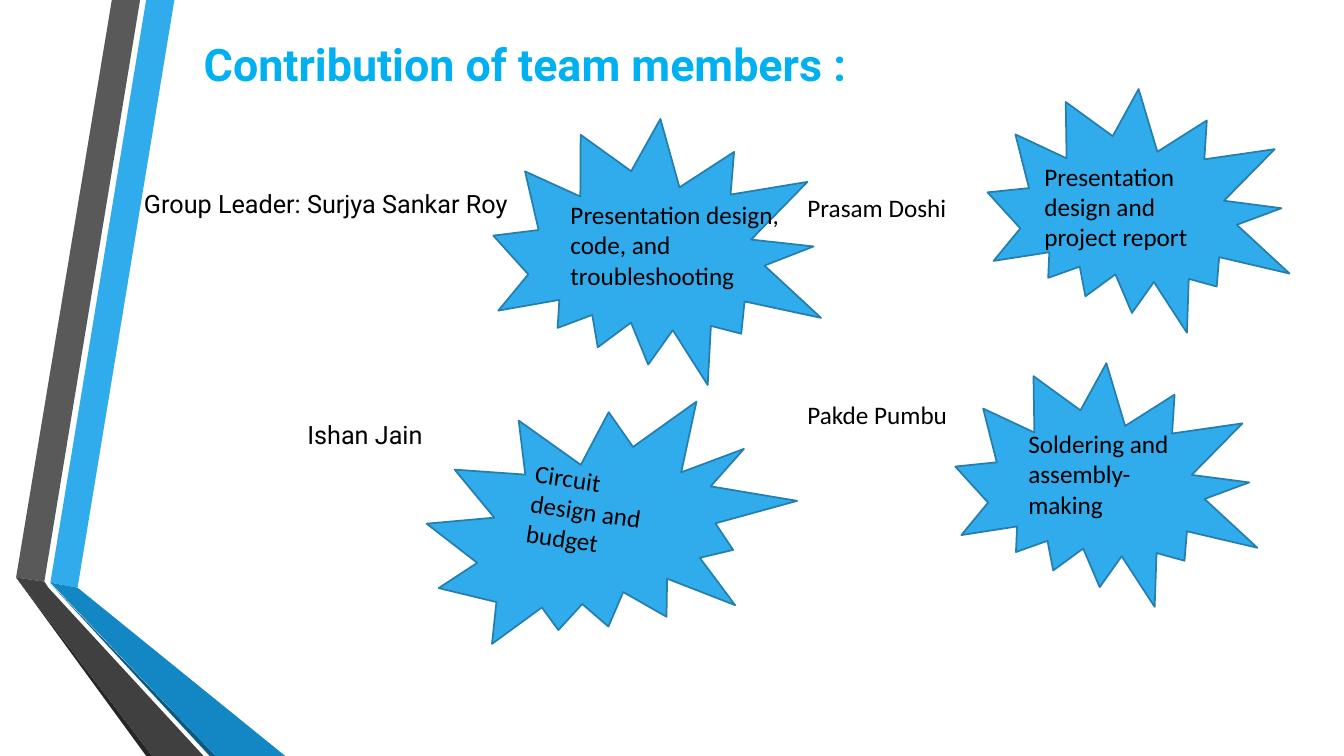
"""Build the slide on the contribution of each team member."""
from pptx import Presentation
from pptx.dml.color import RGBColor
from pptx.enum.shapes import MSO_SHAPE as Shape
from pptx.enum.text import MSO_ANCHOR as Anchor, PP_ALIGN as Align
from pptx.util import Inches, Pt

COLORS = {
    "title": "00B0F0", "text": "000000", "burst": "30ACEC", "edge": "247FAF",
    "blue": "30ACEC", "blue_fold": "1287C3", "blue_shade": "0C5A82",
    "gray": "595959", "gray_fold": "404040", "gray_shade": "262626",
}
TITLE = ("Contribution of team members :", (1.92, 0.31, 9.87, 0.64))
RIBBONS = [
    ("blue", [(0.5, 5.78), (0.77, 5.83), (1.73, 0), (1.45, 0)]),
    ("gray", [(1.39, 0), (1.11, 0), (0.16, 5.73), (0.44, 5.77)]),
    ("gray_shade", [(0.16, 5.73), (1.45, 7.5), (1.51, 7.5)]),
    ("blue_shade", [(0.5, 5.79), (2.08, 7.5), (2.14, 7.5)]),
    ("blue_fold", [(0.5, 5.78), (2.14, 7.5), (2.83, 7.5), (0.77, 5.83)]),
    ("gray_fold", [(2.02, 7.5), (0.48, 5.83), (0.44, 5.77), (0.16, 5.73), (1.51, 7.5)]),
]
BURSTS = [
    ((5, 1.04, 3.16, 2.99), 41.6, ""),
    ((4.25, 3.87, 3.6, 2.68), 8.6, "Circuit\vdesign and\vbudget"),
    ((9.87, 0.78, 2.95, 2.68), 41.6, ""),
    ((9.55, 3.5, 2.95, 2.68), 41.6, ""),
]
LABELS = [
    ("Group Leader: Surjya Sankar Roy", "Roboto", (1.33, 1.82, 4.13, 0.4)),
    ("Ishan Jain", "Roboto", (2.95, 4.11, 2.35, 0.4)),
    ("Prasam Doshi", "Calibri", (7.91, 1.86, 1.69, 0.4)),
    ("Pakde Pumbu", "Calibri", (7.91, 3.91, 1.69, 0.4)),
    ("Presentation design, code, and troubleshooting", "Calibri", (5.56, 1.93, 2.28, 1.01)),
    ("Presentation design and project report", "Calibri", (10.26, 1.55, 1.87, 1.01)),
    ("Soldering and assembly-making", "Calibri", (10.1, 4.2, 1.68, 1.01)),
]


def color(name):
    return RGBColor.from_string(COLORS[name])


def inches(lengths):
    return [Inches(length) for length in lengths]


def write(frame, text, face, size=18, tint="text", bold=False, anchor=Anchor.TOP):
    frame.text = text
    frame.word_wrap = True
    frame.vertical_anchor = anchor
    paragraph = frame.paragraphs[0]
    paragraph.alignment = Align.LEFT
    font = paragraph.font
    font.name, font.size, font.bold = face, Pt(size), bold
    font.color.rgb = color(tint)


def paint(shape, fill):
    shape.shadow.inherit = False
    shape.fill.solid()
    shape.fill.fore_color.rgb = color(fill)


def add_ribbon(shapes, fill, corners):
    start, *others = [inches(corner) for corner in corners]
    outline = shapes.build_freeform(*start)
    outline.add_line_segments(others)
    ribbon = outline.convert_to_shape()
    paint(ribbon, fill)
    ribbon.line.fill.background()


def add_burst(shapes, box, angle, task):
    burst = shapes.add_shape(Shape.EXPLOSION2, *inches(box))
    burst.rotation = angle
    paint(burst, "burst")
    burst.line.color.rgb = color("edge")
    burst.line.width = Pt(1.25)
    if task:
        burst.text_frame.margin_bottom = Inches(0.35)
        write(burst.text_frame, task, "Calibri", anchor=Anchor.MIDDLE)


def main():
    deck = Presentation()
    deck.slide_width, deck.slide_height = inches((13.33, 7.5))
    slide = deck.slides.add_slide(deck.slide_layouts[5])
    shapes = slide.shapes

    heading, box = TITLE
    title = shapes.title
    title.left, title.top, title.width, title.height = inches(box)
    write(title.text_frame, heading, "Roboto", 32, "title", True)

    for fill, corners in RIBBONS:
        add_ribbon(shapes, fill, corners)
    for box, angle, task in BURSTS:
        add_burst(shapes, box, angle, task)
    for text, face, box in LABELS:
        write(shapes.add_textbox(*inches(box)).text_frame, text, face)

    deck.save("out.pptx")


if __name__ == "__main__":
    main()
